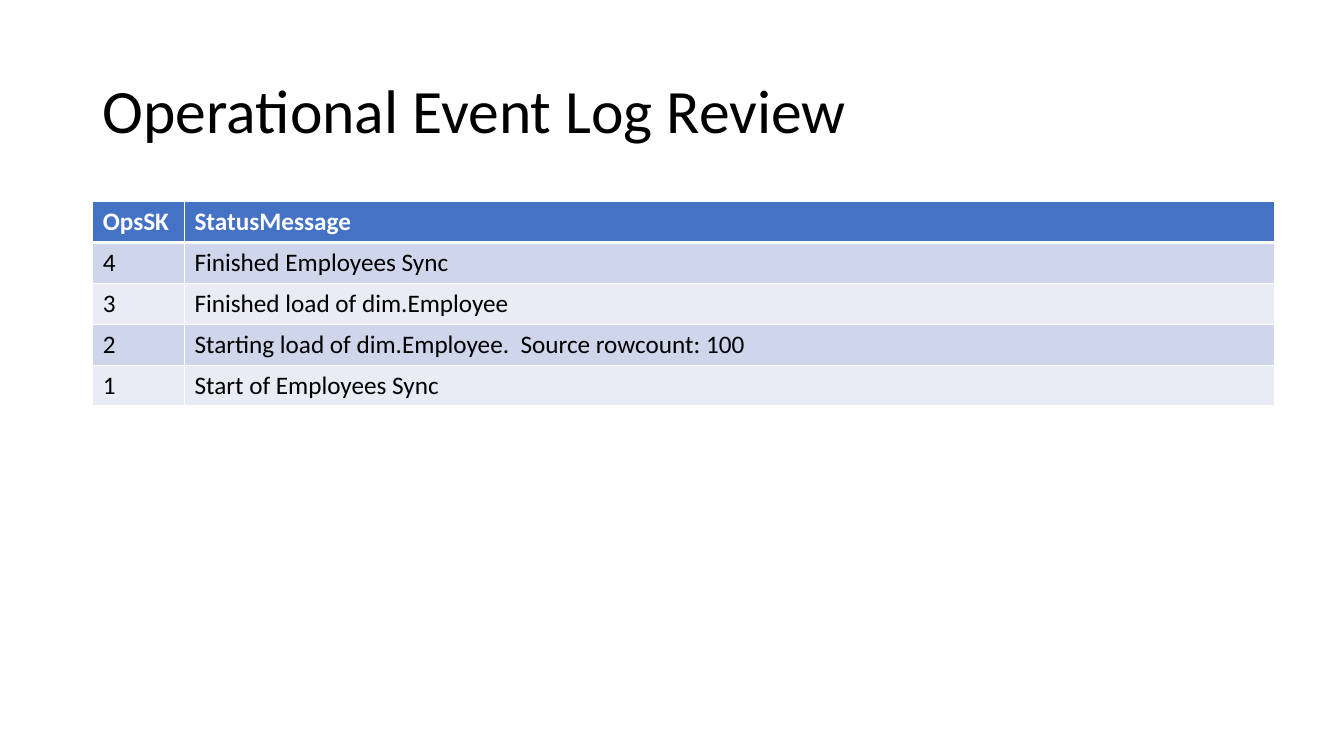
"""Build the operational event log review slide."""
from lxml.etree import SubElement
from pptx import Presentation
from pptx.dml.color import RGBColor as Rgb
from pptx.enum.text import MSO_ANCHOR as Anchor, MSO_AUTO_SIZE as AutoSize, PP_ALIGN as Align
from pptx.oxml.ns import qn
from pptx.util import Inches, Pt

COLORS = {"ink": "000000", "paper": "FFFFFF", "header": "4472C4",
          "odd": "CFD5EA", "even": "E9EBF5"}
EVENTS = [
    ("OpsSK", "StatusMessage"),
    ("4", "Finished Employees Sync"),
    ("3", "Finished load of dim.Employee"),
    ("2", "Starting load of dim.Employee.  Source rowcount: 100"),
    ("1", "Start of Employees Sync"),
]
LEFT, LOG_TOP, ROW_HEIGHT = 0.92, 2, 0.405
COLUMN_WIDTHS = [0.91, 10.81]


def write(frame, text, size=18, color="ink", bold=False, spacing=1.0):
    paragraph = frame.paragraphs[0]
    paragraph.alignment = Align.LEFT
    paragraph.line_spacing = spacing
    run = paragraph.add_run()
    run.text = text
    run.font.name = "Calibri"
    run.font.size = Pt(size)
    run.font.bold = bold
    run.font.color.rgb = Rgb.from_string(COLORS[color])


def add_border(cell, side, points):
    border = SubElement(cell._tc.get_or_add_tcPr(), qn(f"a:ln{side}"), w=str(Pt(points)))
    fill = SubElement(border, qn("a:solidFill"))
    SubElement(fill, qn("a:srgbClr"), val=COLORS["paper"])


deck = Presentation()
deck.slide_width, deck.slide_height = Inches(13.33), Inches(7.5)
slide = deck.slides.add_slide(deck.slide_layouts[5])

heading = slide.shapes.title
heading.left, heading.top = Inches(LEFT), Inches(0.4)
heading.width, heading.height = Inches(11.5), Inches(1.45)
heading.text_frame.word_wrap = True
heading.text_frame.auto_size = AutoSize.NONE
heading.text_frame.vertical_anchor = Anchor.MIDDLE
write(heading.text_frame, "Operational Event Log Review", size=44, spacing=0.9)

event_log = slide.shapes.add_table(
    len(EVENTS), len(COLUMN_WIDTHS), Inches(LEFT), Inches(LOG_TOP),
    Inches(sum(COLUMN_WIDTHS)), Inches(ROW_HEIGHT * len(EVENTS))).table
for column, width in zip(event_log.columns, COLUMN_WIDTHS):
    column.width = Inches(width)

for row, event in enumerate(EVENTS):
    event_log.rows[row].height = Inches(ROW_HEIGHT)
    is_header = row == 0
    band = "header" if is_header else "odd" if row % 2 else "even"
    for column, entry in enumerate(event):
        cell = event_log.cell(row, column)
        for side in "LRTB":
            below_header = (row, side) in [(0, "B"), (1, "T")]
            add_border(cell, side, 3 if below_header else 1)
        cell.fill.solid()
        cell.fill.fore_color.rgb = Rgb.from_string(COLORS[band])
        write(cell.text_frame, entry, color="paper" if is_header else "ink", bold=is_header)

deck.save("out.pptx")
